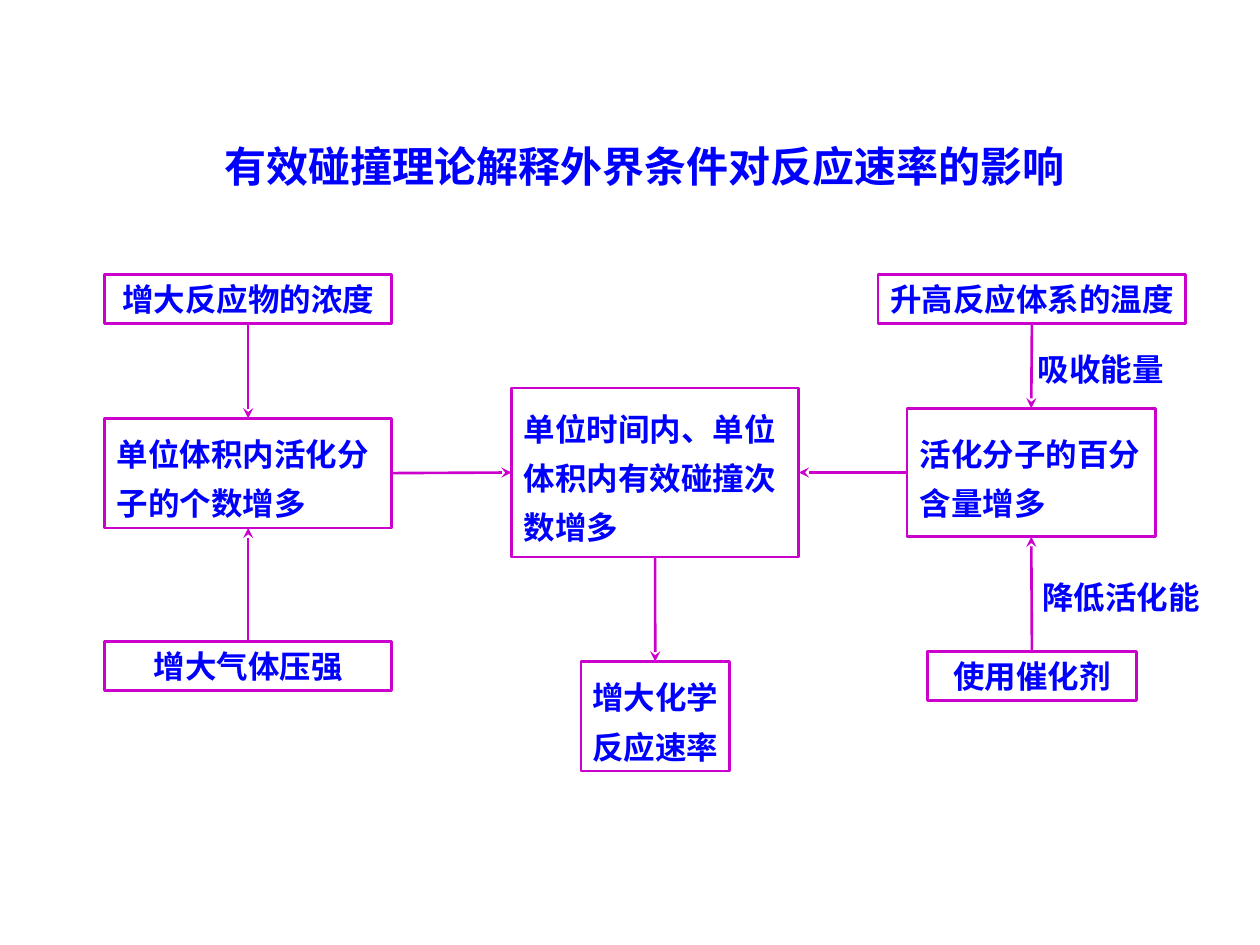
import dataclasses

import pptx
import pptx.dml.color
import pptx.enum.shapes
import pptx.enum.text
import pptx.oxml
import pptx.oxml.ns
import pptx.util

Inches = pptx.util.Inches
ALIGN = pptx.enum.text.PP_ALIGN
BLUE = "0000FF"
PINK = "CC00CC"
TOP, LEFT, BASE, RIGHT = range(4)


@dataclasses.dataclass
class Box:
    left: float
    top: float
    width: float
    height: float
    lines: tuple[str, ...]
    align: ALIGN = ALIGN.CENTER


@dataclasses.dataclass
class Label:
    left: float
    top: float
    width: float
    height: float
    text: str
    size: int = 18


@dataclasses.dataclass
class Link:
    start: str
    out: int
    end: str
    into: int


BOXES = {
    "dense": Box(0.83, 2.18, 2.28, 0.39, ("增大反应物的浓度",)),
    "count": Box(0.83, 3.32, 2.28, 0.87, ("单位体积内活化分", "子的个数增多"), ALIGN.LEFT),
    "press": Box(0.83, 5.09, 2.28, 0.39, ("增大气体压强",)),
    "hits": Box(4.06, 3.08, 2.28, 1.34,
                ("单位时间内、单位", "体积内有效碰撞次", "数增多"), ALIGN.LEFT),
    "heat": Box(6.97, 2.18, 2.44, 0.39, ("升高反应体系的温度",)),
    "share": Box(7.2, 3.24, 1.97, 1.02, ("活化分子的百分", "含量增多"), ALIGN.LEFT),
    "agent": Box(7.36, 5.17, 1.66, 0.39, ("使用催化剂",)),
    "rate": Box(4.61, 5.25, 1.18, 0.87, ("增大化学", "反应速率")),
}
LINKS = [
    Link("dense", BASE, "count", TOP),
    Link("count", RIGHT, "hits", LEFT),
    Link("hits", BASE, "rate", TOP),
    Link("share", LEFT, "hits", RIGHT),
    Link("heat", BASE, "share", TOP),
    Link("press", TOP, "count", BASE),
    Link("agent", TOP, "share", BASE),
]
TITLE = Label(1.61, 1.07, 7.01, 0.5, "有效碰撞理论解释外界条件对反应速率的影响", 24)
NOTES = [
    Label(7.91, 2.73, 1.65, 0.4, "吸收能量"),
    Label(8.07, 4.54, 1.65, 0.4, "降低活化能"),
]


def paint(color, code: str) -> None:
    color.rgb = pptx.dml.color.RGBColor.from_string(code)


def stroke(line) -> None:
    paint(line.color, PINK)
    line.width = pptx.util.Pt(1.5)


def write(para, text: str, size: int, face: str) -> None:
    run = para.add_run()
    run.text = text
    run.font.size = pptx.util.Pt(size)
    run.font.name = face
    run.font.bold = True
    paint(run.font.color, BLUE)


def place(item: Box | Label) -> tuple:
    return (Inches(item.left), Inches(item.top),
            Inches(item.width), Inches(item.height))


def draw_box(slide, box: Box):
    shape = slide.shapes.add_shape(
        pptx.enum.shapes.MSO_SHAPE.RECTANGLE, *place(box))
    shape.shadow.inherit = False
    shape.fill.background()
    stroke(shape.line)
    frame = shape.text_frame
    frame.word_wrap = False
    frame.vertical_anchor = pptx.enum.text.MSO_ANCHOR.MIDDLE
    for row, text in enumerate(box.lines):
        para = frame.add_paragraph() if row else frame.paragraphs[0]
        para.alignment = box.align
        if len(box.lines) > 1:
            para.line_spacing = 1.3
        write(para, text, 18, "Arial")
    return shape


def draw_label(slide, label: Label) -> None:
    frame = slide.shapes.add_textbox(*place(label)).text_frame
    frame.word_wrap = True
    frame.auto_size = pptx.enum.text.MSO_AUTO_SIZE.SHAPE_TO_FIT_TEXT
    para = frame.paragraphs[0]
    para.alignment = ALIGN.CENTER
    write(para, label.text, label.size, "Times New Roman")


def draw_link(slide, link: Link, shapes: dict) -> None:
    arrow = slide.shapes.add_connector(
        pptx.enum.shapes.MSO_CONNECTOR.STRAIGHT, 0, 0, 0, 0)
    arrow.begin_connect(shapes[link.start], link.out)
    arrow.end_connect(shapes[link.end], link.into)
    stroke(arrow.line)
    space = pptx.oxml.ns.nsdecls("a")
    head = pptx.oxml.parse_xml(f'<a:tailEnd {space} type="stealth"/>')
    arrow.line._get_or_add_ln().append(head)
    props = arrow._element.spPr
    props.append(pptx.oxml.parse_xml(f"<a:effectLst {space}/>"))


def main() -> None:
    deck = pptx.Presentation()
    deck.slide_width = Inches(10)
    deck.slide_height = Inches(7.5)
    slide = deck.slides.add_slide(deck.slide_layouts[6])
    draw_label(slide, TITLE)
    shapes = {name: draw_box(slide, box) for name, box in BOXES.items()}
    for link in LINKS:
        draw_link(slide, link, shapes)
    for note in NOTES:
        draw_label(slide, note)
    deck.save("out.pptx")


if __name__ == "__main__":
    main()
